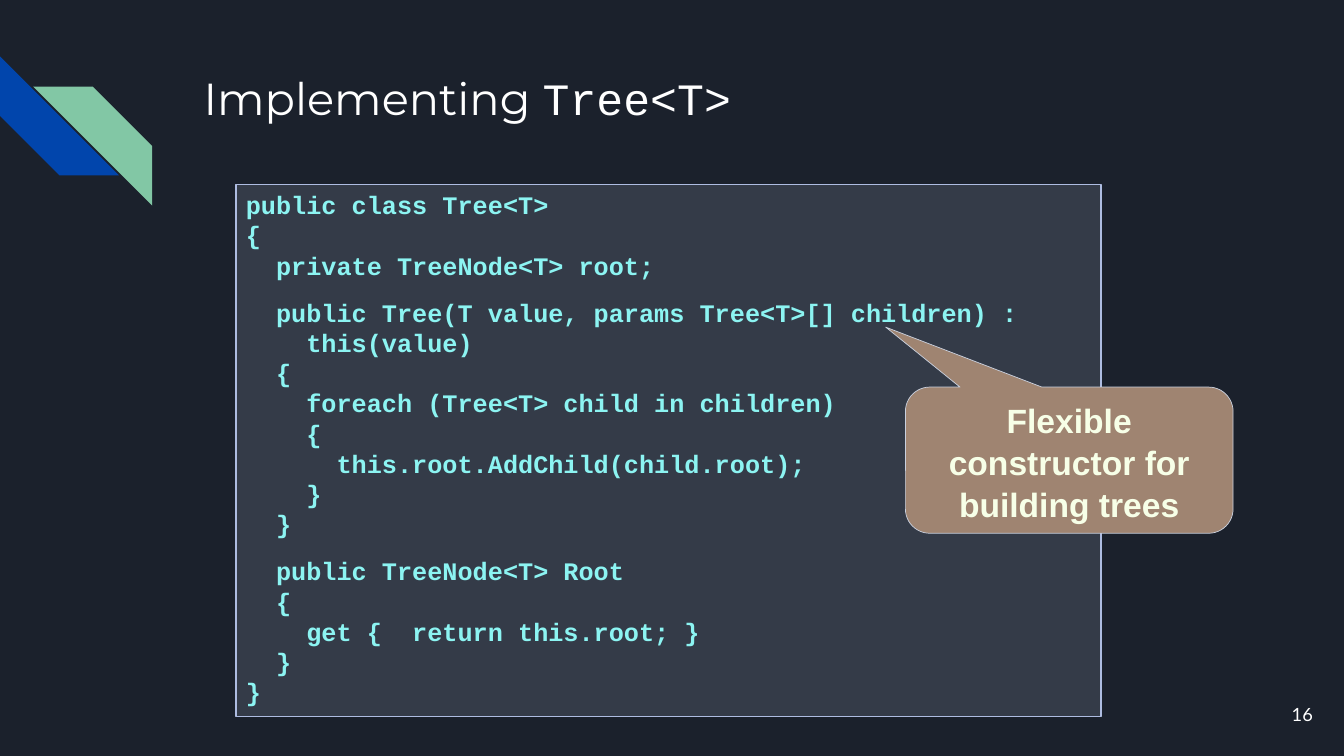
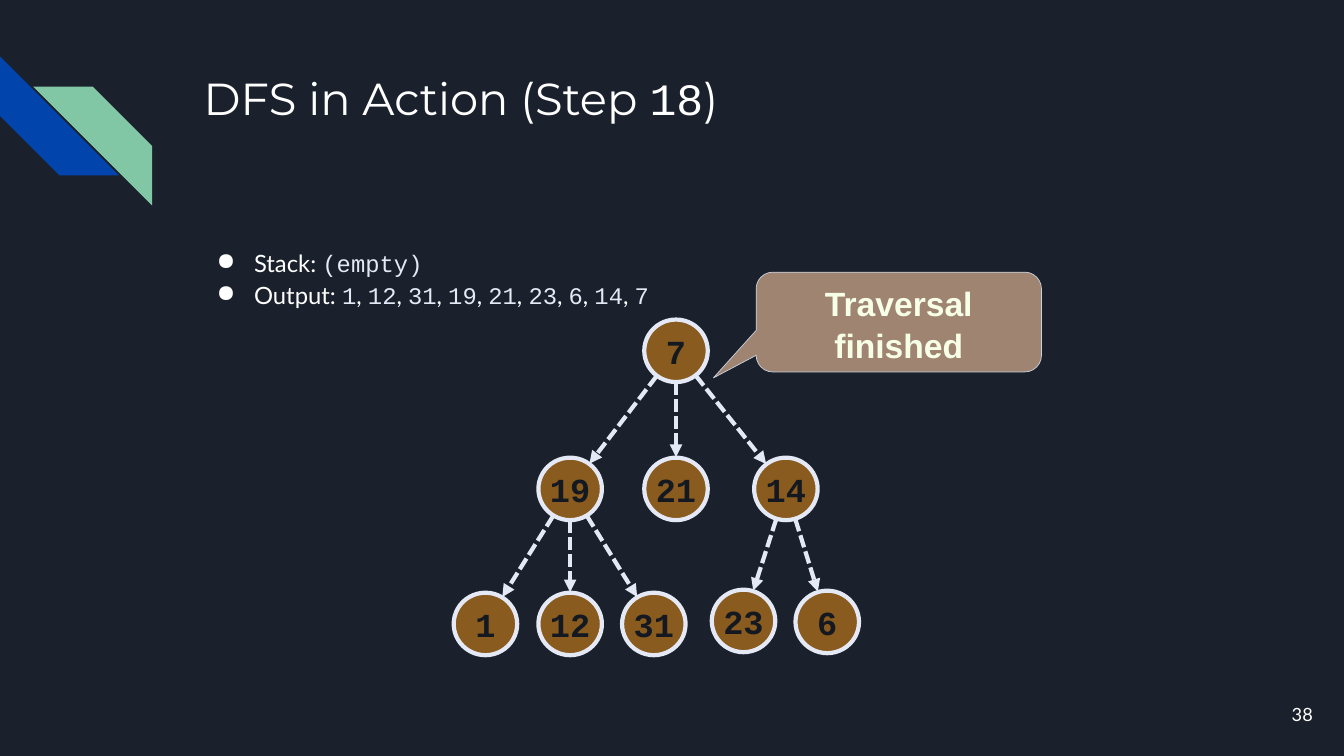
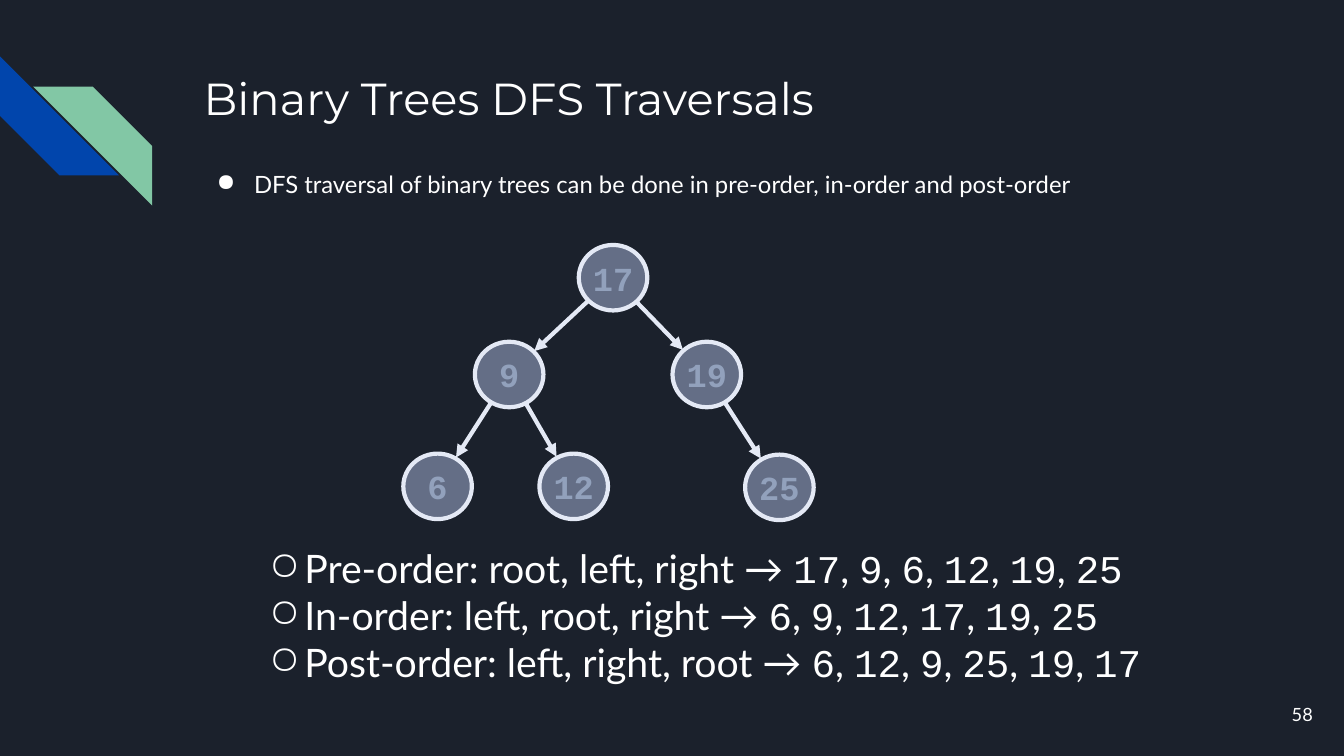
from math import hypot

from lxml import etree
from pptx import Presentation
from pptx.dml.color import RGBColor
from pptx.enum.dml import MSO_LINE
from pptx.enum.shapes import MSO_CONNECTOR, MSO_SHAPE
from pptx.enum.text import MSO_ANCHOR, PP_ALIGN
from pptx.oxml.ns import qn
from pptx.util import Inches, Pt

STRIPE, RECTANGLE, OVAL = MSO_SHAPE.DIAGONAL_STRIPE, MSO_SHAPE.RECTANGLE, MSO_SHAPE.OVAL
CALLOUT = MSO_SHAPE.ROUNDED_RECTANGULAR_CALLOUT
STRAIGHT, DASHED = MSO_CONNECTOR.STRAIGHT, MSO_LINE.SQUARE_DOT
TOP, MIDDLE = MSO_ANCHOR.TOP, MSO_ANCHOR.MIDDLE
LEFT, CENTER, RIGHT = PP_ALIGN.LEFT, PP_ALIGN.CENTER, PP_ALIGN.RIGHT

BACKGROUND = RGBColor(0x1B, 0x21, 0x2C)
BLUE = RGBColor(0x01, 0x45, 0xAC)
GREEN = RGBColor(0x82, 0xC7, 0xA5)
WHITE = RGBColor(0xFF, 0xFF, 0xFF)
PALE = RGBColor(0xE4, 0xE9, 0xF5)
CODE_FILL = RGBColor(0xC9, 0xD3, 0xEB)
PERIWINKLE = RGBColor(0xAE, 0xBC, 0xE1)
CODE_TEXT = RGBColor(0x8C, 0xF4, 0xF2)
CALLOUT_FILL = RGBColor(0x9F, 0x84, 0x71)
CALLOUT_LINE = RGBColor(0xC9, 0xD0, 0xDE)
CALLOUT_TEXT = RGBColor(0xF7, 0xFF, 0xE7)
BROWN = RGBColor(0xB8, 0x75, 0x19)
NODE_DARK = RGBColor(0x14, 0x19, 0x21)
NODE_GREY = RGBColor(0x92, 0xA1, 0xBC)

TITLE_FONT, BODY_FONT, CODE_FONT, CALLOUT_FONT = "Montserrat", "Lato", "Courier New", "Arial"
PADDING = (0.13, 0.13, 0.13, 0.13)


def code_list(*values):
    return ", ".join(f"`{value}`" for value in values)


# Content: backticks switch to the code font
CODE_BLOCKS = [
    ["public class Tree<T>",
     "{",
     "  private TreeNode<T> root;"],
    ["  public Tree(T value, params Tree<T>[] children) :\n    this(value)",
     "  {",
     "    foreach (Tree<T> child in children)",
     "    {",
     "      this.root.AddChild(child.root);",
     "    }",
     "  }"],
    ["  public TreeNode<T> Root",
     "  {",
     "    get {  return this.root; }",
     "  }",
     "}"],
]
STACK_AND_OUTPUT = [
    "Stack: `(empty)`",
    "Output: " + code_list(1, 12, 31, 19, 21, 23, 6, 14, 7),
]
INTRODUCTION = ["DFS traversal of binary trees can be done in pre-order, in-order and post-order"]
ORDERS = [
    "Pre-order: root, left, right → " + code_list(17, 9, 6, 12, 19, 25),
    "In-order: left, root, right → " + code_list(6, 9, 12, 17, 19, 25),
    "Post-order: left, right, root → " + code_list(6, 12, 9, 25, 19, 17),
]

# Trees: top-left corner of each node, and the children of each parent
DFS_TREE = {
    "size": (0.63, 0.62), "fill": BROWN, "opacity": 70, "text": NODE_DARK, "dash": DASHED,
    "nodes": {7: (6.39, 3.17), 19: (5.34, 4.54), 21: (6.39, 4.54), 14: (7.48, 4.54),
              1: (4.5, 5.88), 12: (5.34, 5.88), 31: (6.17, 5.88),
              23: (7.06, 5.85), 6: (7.89, 5.86)},
    "children": {7: (19, 21, 14), 19: (1, 12, 31), 14: (23, 6)},
}
BINARY_TREE = {
    "size": (0.68, 0.65), "fill": PERIWINKLE, "opacity": 50, "text": NODE_GREY, "dash": None,
    "nodes": {17: (5.74, 2.43), 9: (4.71, 3.39), 19: (6.67, 3.39),
              6: (4, 4.5), 12: (5.35, 4.5), 25: (7.39, 4.51)},
    "children": {17: (9, 19), 9: (6, 12), 19: (25,)},
}


# Building blocks
def inches(values):
    return [Inches(value) for value in values]


def add_shape(slide, kind, box, fill, opacity=100, line=None, line_width=1):
    shape = slide.shapes.add_shape(kind, *inches(box))
    shape.shadow.inherit = False
    shape.fill.solid()
    shape.fill.fore_color.rgb = fill
    if opacity < 100:
        color = shape._element.spPr.find(qn("a:solidFill"))[0]
        etree.SubElement(color, qn("a:alpha")).set("val", str(opacity * 1000))
    if line is None:
        shape.line.fill.background()
    else:
        shape.line.color.rgb = line
        shape.line.width = Pt(line_width)
    return shape


def set_frame(shape, insets=(0.1, 0.05, 0.1, 0.05), anchor=TOP, wrap=True):
    frame = shape.text_frame
    frame.word_wrap = wrap
    frame.vertical_anchor = anchor
    frame.margin_left, frame.margin_top, frame.margin_right, frame.margin_bottom = inches(insets)
    return frame


def add_paragraph(frame, align=LEFT):
    first = frame.paragraphs[0]
    paragraph = frame.add_paragraph() if first.runs else first
    paragraph.alignment = align
    return paragraph


def add_run(paragraph, text, size, font, color, bold=False):
    run = paragraph.add_run()
    run.text = text
    run.font.size = Pt(size)
    run.font.name = font
    run.font.color.rgb = color
    run.font.bold = bold


def add_mixed_runs(paragraph, text, size, font, code_color=WHITE):
    for index, part in enumerate(text.split("`")):
        if part:
            is_code = index % 2 == 1
            add_run(paragraph, part, size, CODE_FONT if is_code else font,
                    code_color if is_code else WHITE)


def add_text_box(slide, box, anchor=TOP):
    return set_frame(slide.shapes.add_textbox(*inches(box)), PADDING, anchor)


def add_bullets(slide, box, lines, size, bullet="●", indent=0.5, hanging=0.37,
                spacing=1.0, code_color=WHITE):
    frame = add_text_box(slide, box)
    for line in lines:
        paragraph = add_paragraph(frame)
        properties = paragraph._p.get_or_add_pPr()
        properties.set("marL", str(Inches(indent)))
        properties.set("indent", str(-Inches(hanging)))
        color = etree.SubElement(properties, qn("a:buClr"))
        etree.SubElement(color, qn("a:srgbClr")).set("val", str(WHITE))
        etree.SubElement(properties, qn("a:buChar")).set("char", bullet)
        paragraph.line_spacing = spacing
        add_mixed_runs(paragraph, line, size, BODY_FONT, code_color)


def add_callout(slide, box, pointer, text):
    shape = add_shape(slide, CALLOUT, box, CALLOUT_FILL, line=CALLOUT_LINE, line_width=0.5)
    shape.adjustments[0], shape.adjustments[1] = pointer
    paragraph = add_paragraph(set_frame(shape, (0.08, 0.04, 0.08, 0.04)), CENTER)
    paragraph.line_spacing = Pt(30)
    add_run(paragraph, text, 24, CALLOUT_FONT, CALLOUT_TEXT, True)


def add_code(slide, box, blocks):
    shape = add_shape(slide, RECTANGLE, box, CODE_FILL, 15, PERIWINKLE)
    frame = set_frame(shape)
    for block_index, block in enumerate(blocks):
        for line_index, line in enumerate(block):
            paragraph = add_paragraph(frame)
            if block_index and not line_index:
                paragraph.space_before = Pt(12)
            for part_index, part in enumerate(line.split("\n")):
                if part_index:
                    paragraph.add_line_break()
                add_run(paragraph, part, 18, CODE_FONT, CODE_TEXT, True)


def add_arrow(slide, start, end, dash):
    arrow = slide.shapes.add_connector(STRAIGHT, *inches(start + end))
    arrow.line.color.rgb = PALE
    arrow.line.width = Pt(3)
    if dash is not None:
        arrow.line.dash_style = dash
    etree.SubElement(arrow.line._get_or_add_ln(), qn("a:tailEnd")).set("type", "triangle")
    etree.SubElement(arrow._element.spPr, qn("a:effectLst"))


def add_tree(slide, tree):
    width, height = tree["size"]
    centers = {}
    for label, (left, top) in tree["nodes"].items():
        centers[label] = (left + width / 2, top + height / 2)
        node = add_shape(slide, OVAL, (left, top, width, height),
                         tree["fill"], tree["opacity"], PALE, 3)
        paragraph = add_paragraph(set_frame(node, anchor=MIDDLE, wrap=False), CENTER)
        add_run(paragraph, str(label), 24, CODE_FONT, tree["text"], True)
    # Arrows run from rim to rim along the line between two centers
    for parent, children in tree["children"].items():
        for child in children:
            (x1, y1), (x2, y2) = centers[parent], centers[child]
            ratio = width / 2 / hypot(x2 - x1, y2 - y1)
            dx, dy = (x2 - x1) * ratio, (y2 - y1) * ratio
            add_arrow(slide, (x1 + dx, y1 + dy), (x2 - dx, y2 - dy), tree["dash"])


def add_slide(presentation, title, number):
    slide = presentation.slides.add_slide(presentation.slide_layouts[6])
    # Corner stripes
    blue_stripe = add_shape(slide, STRIPE, (0, 0.56, 1.18, 1.18), BLUE)
    blue_stripe.rotation = 270
    green_stripe = add_shape(slide, STRIPE, (0.33, 0.86, 1.18, 1.18), GREEN)
    green_stripe._element.spPr.find(qn("a:xfrm")).set("flipH", "1")
    # Title and slide number
    title_frame = add_text_box(slide, (1.89, 0.57, 10.26, 1.33))
    add_mixed_runs(add_paragraph(title_frame), title, 32, TITLE_FONT)
    number_frame = add_text_box(slide, (12.35, 6.8, 0.8, 0.57), MIDDLE)
    add_run(add_paragraph(number_frame, RIGHT), str(number), 13, BODY_FONT, WHITE)
    return slide


def main():
    presentation = Presentation()
    presentation.slide_width, presentation.slide_height = inches((13.33, 7.5))
    background = presentation.slide_master.background.fill
    background.solid()
    background.fore_color.rgb = BACKGROUND

    # Tree class
    slide = add_slide(presentation, "Implementing `Tree<T>`", 16)
    add_code(slide, (2.34, 1.83, 8.58, 5.28), CODE_BLOCKS)
    add_callout(slide, (8.98, 3.84, 3.25, 1.45), (-0.56, -0.91),
                "Flexible constructor for building trees")

    # Depth-first search
    slide = add_slide(presentation, "DFS in Action (Step `18`)", 38)
    add_bullets(slide, (1.89, 2.29, 10.26, 4.25), STACK_AND_OUTPUT, 17,
                spacing=1.15, code_color=PALE)
    add_tree(slide, DFS_TREE)
    add_callout(slide, (7.5, 2.7, 2.83, 0.99), (-0.65, 0.56), "Traversal finished")

    # Binary tree traversals
    slide = add_slide(presentation, "Binary Trees DFS Traversals", 58)
    add_bullets(slide, (1.89, 1.55, 10.26, 0.6), INTRODUCTION, 17)
    add_bullets(slide, (1.89, 5.27, 10.26, 1.72), ORDERS, 28, "○", 1, 0.35)
    add_tree(slide, BINARY_TREE)

    presentation.save("out.pptx")


if __name__ == "__main__":
    main()
